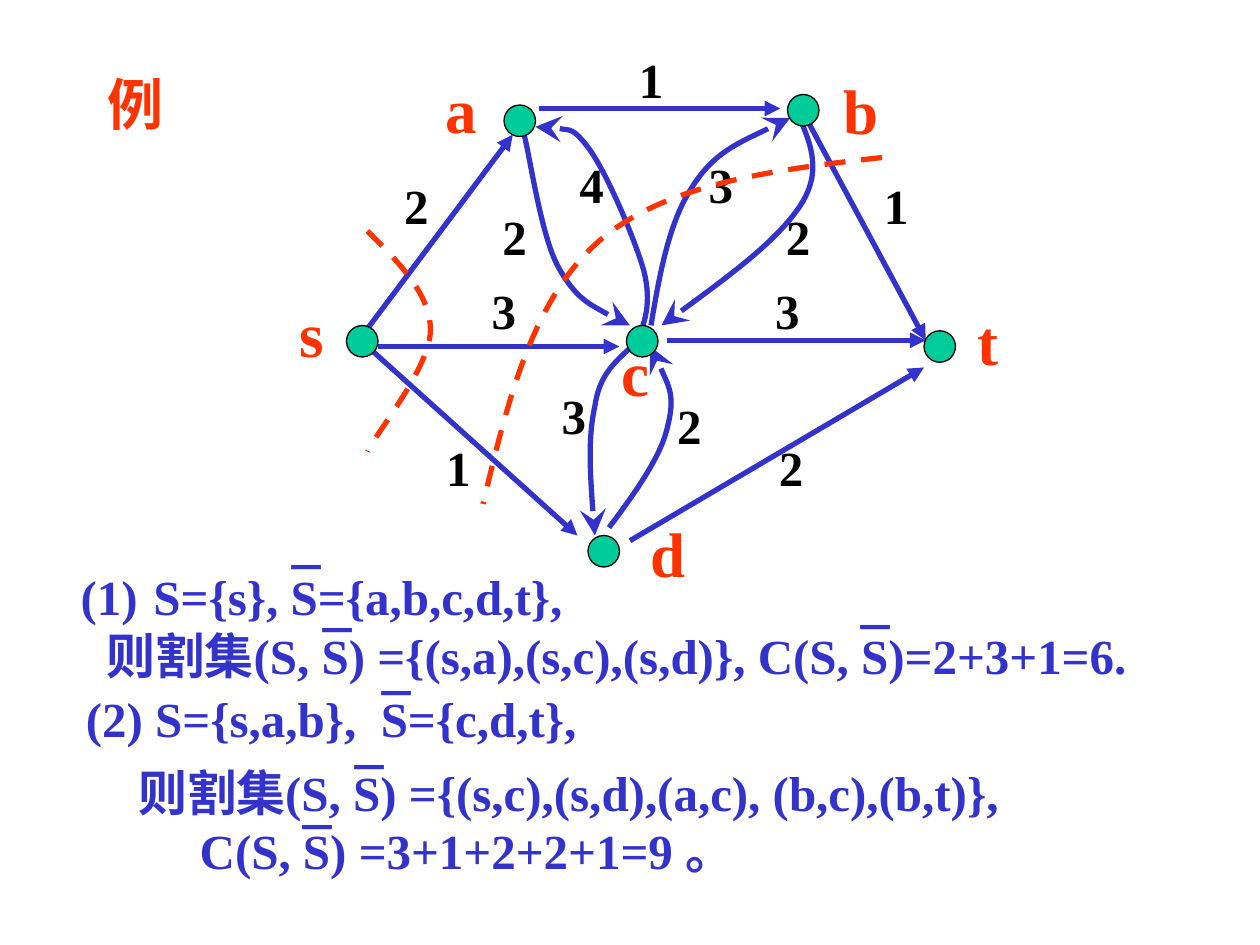
from dataclasses import dataclass

from lxml.etree import SubElement
from pptx import Presentation
from pptx.dml.color import RGBColor
from pptx.enum.dml import MSO_LINE
from pptx.enum.shapes import MSO_CONNECTOR, MSO_SHAPE
from pptx.enum.text import MSO_ANCHOR as Anchor, MSO_AUTO_SIZE as AutoSize, PP_ALIGN as Align
from pptx.oxml.ns import qn
from pptx.util import Pt


@dataclass(frozen=True)
class Theme:
    """Colours, font and type sizes of the slide."""
    edge: RGBColor = RGBColor(0x33, 0x33, 0xCC)
    accent: RGBColor = RGBColor(0xFF, 0x33, 0x00)
    node: RGBColor = RGBColor(0x00, 0xCC, 0x99)
    ink: RGBColor = RGBColor(0, 0, 0)
    face: str = "Times New Roman"
    name: int = 36
    title: int = 32
    body: int = 28
    bar: int = 24
    stroke: int = 3


THEME = Theme()
NODE_SIZE = 18

NODES = [(528, 189), (336, 306), (450, 54), (288, 60), (358, 186), (198, 186)]
NODE_NAMES = [("s", 168, 174, 20), ("a", 254, 46, 19.5), ("c", 348, 196.5, 30),
              ("d", 372, 300, 20), ("b", 484, 47, 16.5), ("t", 554.5, 178.5, 20)]
STRAIGHT_EDGES = [(205, 194.5, 293, 77), (458.5, 63.5, 529, 194.5), (381, 194.5, 529, 194.5),
                  (210, 198, 330, 306), (360, 309, 528, 210), (216, 198, 354, 198),
                  (308, 62, 446, 62)]
CURVED_EDGES = [
    [(364.5, 194.5), (368.5, 183.5), (372.5, 173.5), (368, 155), (363, 137), (347, 99.5),
     (337, 85.5), (327, 72), (316, 72.5), (306, 72.5)],
    [(457, 67.5), (463.5, 83), (470, 98.5), (457, 118), (443.5, 138), (411, 162), (378, 186)],
    [(348, 301.5), (363, 281.5), (378, 260.5), (381.5, 243.5), (386, 226), (378.5, 211.5),
     (371.5, 198)],
    [(299.5, 77), (303, 90), (309, 134), (319, 152.5), (329, 170.5), (344, 178.5), (360, 186)],
    [(372, 186), (377, 156), (382.5, 126.5), (395.5, 107), (408, 87), (430, 78), (451.5, 67.5)],
    [(360.5, 198.5), (352, 206.5), (342.5, 214), (340, 232), (336, 250), (337.5, 278),
     (340, 306)],
]
CUTS = [
    [(210, 132), (228, 150), (246, 168), (246, 188.5), (246, 209.5), (216, 246), (210, 258)],
    [(504, 90), (442, 97), (380, 105), (342, 138), (304, 171.5), (290, 229.5), (276, 288)],
]
CAPACITIES = [("2", 204, 96, Align.RIGHT), ("1", 498, 96, Align.LEFT),
              ("3", 264, 156, Align.CENTER), ("4", 324, 84, Align.LEFT),
              ("2", 270, 114, Align.CENTER), ("2", 360, 222, Align.RIGHT),
              ("3", 378, 84, Align.RIGHT), ("2", 432, 114, Align.CENTER),
              ("3", 426, 156, Align.CENTER), ("1", 348, 24, Align.CENTER),
              ("2", 438, 246, Align.LEFT), ("1", 228, 246, Align.RIGHT),
              ("3", 294, 216, Align.RIGHT)]
BARS = [(156, 306), (162.5, 454.5), (192, 420), (207.5, 378), (481.5, 340), (174, 342)]


def apply(target, values):
    """Set each named attribute on the target."""
    for name, value in values.items():
        setattr(target, name, value)


def style_font(font, size, color):
    """Give a font the theme face, in bold."""
    apply(font, {"name": THEME.face, "size": Pt(size), "bold": True})
    font.color.rgb = color


def fill_paragraph(paragraph, runs, color, indent=0, tab=None, align=Align.LEFT):
    """Write (text, size) runs with an optional indent and tab stop."""
    properties = paragraph._p.get_or_add_pPr()
    properties.set("marL", str(Pt(indent)))
    if tab:
        stops = SubElement(properties, qn("a:tabLst"))
        SubElement(stops, qn("a:tab"), pos=str(Pt(tab)), algn="l")
    paragraph.alignment = align
    for text, size in runs:
        run = paragraph.add_run()
        run.text = text
        style_font(run.font, size, color)


def add_label(slide, box, runs, color, anchor=Anchor.TOP, **layout):
    """Add a wrapping text box and return its frame."""
    frame = slide.shapes.add_textbox(*map(Pt, box)).text_frame
    apply(frame, {"word_wrap": True, "vertical_anchor": anchor})
    fill_paragraph(frame.paragraphs[0], runs, color, **layout)
    return frame


def add_title(slide, text):
    """Place and format the title."""
    title = slide.shapes.title
    apply(title, {"left": Pt(54), "top": Pt(36), "width": Pt(54), "height": Pt(46)})
    apply(title.text_frame, {"vertical_anchor": Anchor.TOP, "auto_size": AutoSize.NONE})
    fill_paragraph(title.text_frame.paragraphs[0], [(text, THEME.title)], THEME.accent)


def add_oval(slide, left, top, width, height):
    """Add an oval without a shadow."""
    oval = slide.shapes.add_shape(MSO_SHAPE.OVAL, *map(Pt, (left, top, width, height)))
    oval.shadow.inherit = False
    return oval


def add_node(slide, left, top):
    """Add a graph vertex."""
    node = add_oval(slide, left, top, NODE_SIZE, NODE_SIZE)
    node.fill.solid()
    node.fill.fore_color.rgb = THEME.node
    node.line.color.rgb = THEME.ink
    node.line.width = Pt(0.75)


def add_node_name(slide, text, left, top, width):
    """Add the name of a vertex."""
    oval = add_oval(slide, left, top, width, 31.5)
    oval.fill.background()
    oval.line.fill.background()
    apply(oval.text_frame, {"word_wrap": False, "vertical_anchor": Anchor.MIDDLE})
    fill_paragraph(oval.text_frame.paragraphs[0], [(text, THEME.name)], THEME.accent,
                   align=Align.CENTER)


def style_stroke(shape, color, head=None, size="med"):
    """Colour a line and put an arrowhead at its end."""
    shape.line.color.rgb = color
    shape.line.width = Pt(THEME.stroke)
    if head:
        outline = shape.element.spPr.find(qn("a:ln"))
        SubElement(outline, qn("a:tailEnd"), type=head, w=size, len=size)


def add_straight_edge(slide, *ends):
    """Add a straight arrow."""
    edge = slide.shapes.add_connector(MSO_CONNECTOR.STRAIGHT, *map(Pt, ends))
    style_stroke(edge, THEME.edge, "triangle")
    SubElement(edge.element.spPr, qn("a:effectLst"))


def add_curve(slide, points):
    """Add an open cubic curve through start, control and end points."""
    start, *rest = [(Pt(x), Pt(y)) for x, y in points]
    builder = slide.shapes.build_freeform(*start)
    builder.add_line_segments(rest, close=False)
    curve = builder.convert_to_shape()
    outline = next(curve.element.iter(qn("a:path")))
    steps = outline.findall(qn("a:lnTo"))
    for first in range(0, len(steps), 3):
        bezier = SubElement(outline, qn("a:cubicBezTo"))
        for step in steps[first:first + 3]:
            bezier.append(step[0])
            outline.remove(step)
    curve.fill.background()
    curve.shadow.inherit = False
    return curve


def add_solution(slide):
    """Write both cut sets and their capacities."""
    body, color = THEME.body, THEME.edge
    add_label(slide, (30, 312, 666, 54),
              [("(1)", body), (" ", THEME.name), ("S={s}, S={a,b,c,d,t},", body)],
              color, indent=9)
    add_label(slide, (54, 354, 612, 41),
              [("则割集(S, S) ={(s,a),(s,c),(s,d)}, C(S, S)=2+3+1=6.", body)], color)
    add_label(slide, (42, 390, 342, 41),
              [("(2) S={s,a,b},\tS={c,d,t},", body)], color, tab=168.5)
    second = add_label(slide, (72, 432, 564, 75),
                       [("则割集(S, S) ={(s,c),(s,d),(a,c), (b,c),(b,t)},", body)], color)
    fill_paragraph(second.add_paragraph(), [("C(S, S) =3+1+2+2+1=9 。", body)], color, indent=35)
    for left, top in BARS:
        add_label(slide, (left, top, 36, 36), [("－", THEME.bar)], color)


def main():
    """Build the slide and save it."""
    deck = Presentation()
    apply(deck, {"slide_width": Pt(720), "slide_height": Pt(540)})
    slide = deck.slides.add_slide(deck.slide_layouts[5])
    add_title(slide, "例")
    for name in NODE_NAMES:
        add_node_name(slide, *name)
    for ends in STRAIGHT_EDGES:
        add_straight_edge(slide, *ends)
    for points in CURVED_EDGES:
        style_stroke(add_curve(slide, points), THEME.edge, "stealth", "lg")
    for position in NODES:
        add_node(slide, *position)
    for text, left, top, align in CAPACITIES:
        add_label(slide, (left, top, 48, 42), [(text, THEME.body)], THEME.ink,
                  Anchor.MIDDLE, align=align)
    for points in CUTS:
        cut = add_curve(slide, points)
        style_stroke(cut, THEME.accent)
        cut.line.dash_style = MSO_LINE.DASH
    add_solution(slide)
    deck.save("out.pptx")


if __name__ == "__main__":
    main()
